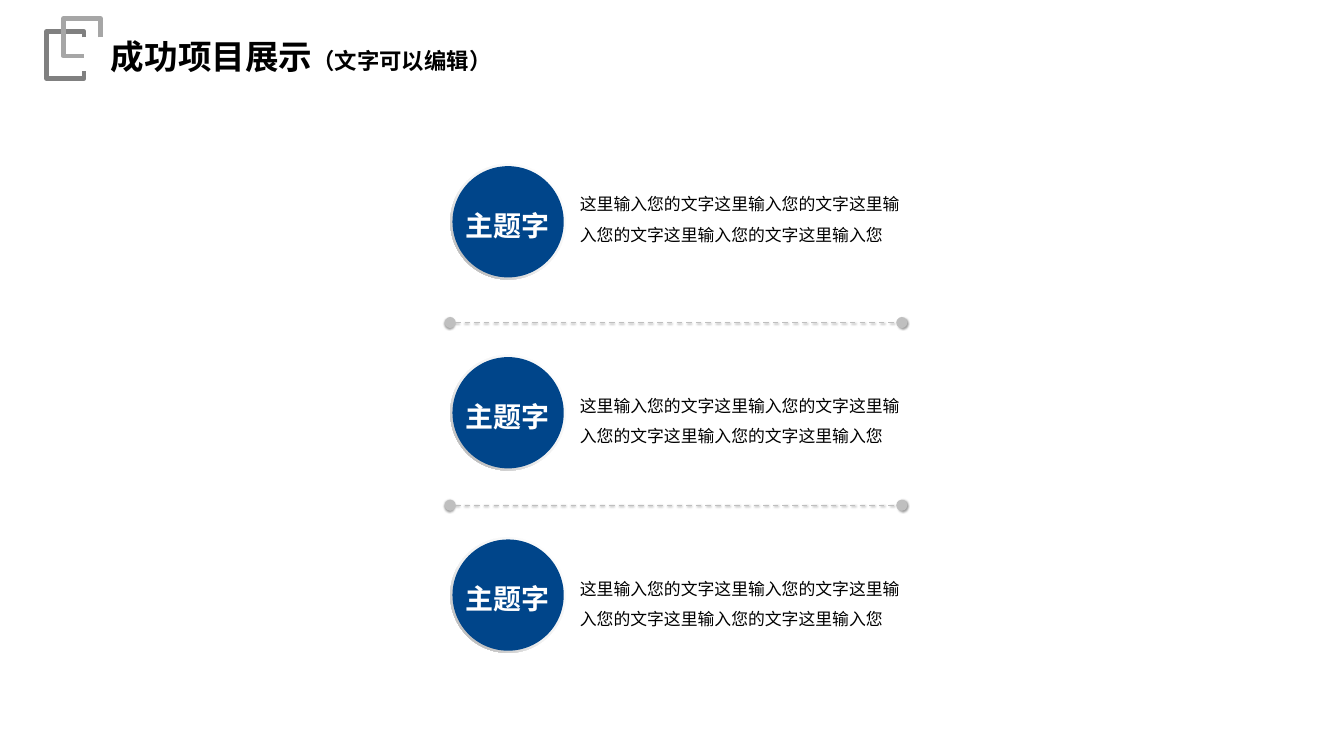
from dataclasses import dataclass
from typing import Any

import pptx
import pptx.dml.color
import pptx.enum.dml
import pptx.enum.shapes
import pptx.enum.text
import pptx.oxml
import pptx.oxml.ns
import pptx.util

Pt = pptx.util.Pt
qn = pptx.oxml.ns.qn
SHAPE = pptx.enum.shapes.MSO_SHAPE
ALIGN = pptx.enum.text.PP_ALIGN
FIT = pptx.enum.text.MSO_AUTO_SIZE
TOP = pptx.enum.text.MSO_ANCHOR.TOP
DASH = pptx.enum.dml.MSO_LINE.DASH
SPACE = 'xmlns:a="http://schemas.openxmlformats.org/drawingml/2006/main"'

COLORS = {
    "ink": "000000",
    "paper": "FFFFFF",
    "blue": "00458A",
    "dark": "808080",
    "mid": "A6A6A6",
    "rule": "BFBFBF",
    "pale": "F2F2F2",
}
SLIM = dict(margin_left=Pt(5.4), margin_right=Pt(5.4),
            margin_top=Pt(2.7), margin_bottom=Pt(2.7))
FRAME = dict(word_wrap=True, auto_size=FIT.NONE, vertical_anchor=TOP)
LEFT, RIGHT = 241.2, 483.1
RING, DISC = 62, 59.6
TEXT = "这里输入您的文字" * 4 + "这里输入您"


@dataclass
class Row:
    top: float
    text: float
    label: str = "主题字"


@dataclass
class Hook:
    color: str
    points: list[tuple[float, float]]


ROWS = [Row(87.8, 95.8), Row(190.1, 203.8), Row(287.8, 301.7)]
RULES = [172.8, 270.7]
HOOKS = [
    Hook("dark", [(45.4, 20.2), (45.4, 17), (25.2, 17),
                  (25.2, 41.8), (45.4, 41.8), (45.4, 38.2)]),
    Hook("mid", [(54.5, 20.2), (54.5, 10.1), (33.9, 10.1),
                 (33.9, 29.5), (45.4, 29.5)]),
]


def rgb(name: str) -> pptx.dml.color.RGBColor:
    return pptx.dml.color.RGBColor.from_string(COLORS[name])


def apply(item: Any, values: dict[str, Any]) -> None:
    for key, value in values.items():
        setattr(item, key, value)


def place(item: Any, left: float, top: float, width: float, height: float) -> None:
    apply(item, dict(left=Pt(left), top=Pt(top), width=Pt(width), height=Pt(height)))


def write(para: Any, text: str, size: float, color: str, bold: bool = False) -> None:
    run = para.add_run()
    run.text = text
    apply(run.font, dict(name="Arial", size=Pt(size), bold=bold))
    run.font.color.rgb = rgb(color)


def draw_title(slide: Any) -> None:
    title = slide.shapes.title
    place(title, 54, 16.6, 276.5, 27.4)
    apply(title.text_frame, FRAME | SLIM)
    para = title.text_frame.paragraphs[0]
    para.alignment = ALIGN.LEFT
    write(para, "成功项目展示", 18, "ink", True)
    write(para, "（文字可以编辑）", 12, "ink", True)


def draw_hook(slide: Any, hook: Hook) -> None:
    pen = slide.shapes.build_freeform(*hook.points[0], scale=Pt(1))
    pen.add_line_segments(hook.points[1:], close=False)
    shape = pen.convert_to_shape()
    shape.shadow.inherit = False
    shape.fill.background()
    shape.line.color.rgb = rgb(hook.color)
    shape.line.width = Pt(2.5)


def draw_rule(slide: Any, top: float) -> None:
    """Add a dashed line with round ends and a soft shadow."""
    rule = slide.shapes.add_connector(
        pptx.enum.shapes.MSO_CONNECTOR.STRAIGHT, Pt(LEFT), Pt(top), Pt(RIGHT), Pt(top))
    rule.line.color.rgb = rgb("rule")
    apply(rule.line, dict(width=Pt(0.75), dash_style=DASH))
    props = rule._element.spPr
    line = props.find(qn("a:ln"))
    for end in ("headEnd", "tailEnd"):
        line.append(pptx.oxml.parse_xml(f'<a:{end} {SPACE} type="oval"/>'))
    props.append(pptx.oxml.parse_xml(
        f'<a:effectLst {SPACE}><a:outerShdw blurRad="{Pt(1)}" dist="{Pt(0.5)}" '
        f'dir="5400000" rotWithShape="0"><a:srgbClr val="{COLORS["ink"]}">'
        '<a:alpha val="38000"/></a:srgbClr></a:outerShdw></a:effectLst>'))


def shade(shape: Any, stops: dict[int, str]) -> None:
    """Fill a shape with a gradient of percent stops, dark at lower left."""
    shape.fill.gradient()
    shape.fill.gradient_angle = 225
    steps = shape._element.spPr.find(".//" + qn("a:gsLst"))
    steps.clear()
    for spot, name in stops.items():
        steps.append(pptx.oxml.parse_xml(
            f'<a:gs {SPACE} pos="{spot * 1000}"><a:srgbClr val="{COLORS[name]}"/></a:gs>'))


def draw_round(group: Any, kind: Any, inset: float, top: float, size: float) -> Any:
    shape = group.shapes.add_shape(
        kind, Pt(LEFT + inset), Pt(top + inset), Pt(size), Pt(size))
    shape.shadow.inherit = False
    shape.line.fill.background()
    return shape


def draw_badge(slide: Any, row: Row) -> None:
    group = slide.shapes.add_group_shape()
    ring = draw_round(group, SHAPE.DONUT, 0, row.top, RING)
    ring.adjustments[0] = 0.049
    shade(ring, {0: "paper", 55: "pale", 100: "mid"})
    disc = draw_round(group, SHAPE.OVAL, (RING - DISC) / 2, row.top, DISC)
    disc.fill.solid()
    disc.fill.fore_color.rgb = rgb("blue")
    box = group.shapes.add_textbox(Pt(LEFT + 1), Pt(row.top + 20.2), Pt(DISC), Pt(25.2))
    apply(box.text_frame, FRAME | dict(word_wrap=False))
    para = box.text_frame.paragraphs[0]
    para.alignment = ALIGN.CENTER
    write(para, row.label, 15, "paper", True)


def draw_text(slide: Any, row: Row) -> None:
    box = slide.shapes.add_textbox(Pt(305.3), Pt(row.text), Pt(184.3), Pt(38.2))
    apply(box.text_frame, FRAME | SLIM)
    para = box.text_frame.paragraphs[0]
    para.line_spacing = 1.5
    write(para, TEXT, 9, "ink")


def main() -> None:
    deck = pptx.Presentation()
    apply(deck, dict(slide_width=Pt(720), slide_height=Pt(405)))
    slide = deck.slides.add_slide(deck.slide_layouts.get_by_name("Title Only"))
    draw_title(slide)
    for hook in HOOKS:
        draw_hook(slide, hook)
    for top in RULES:
        draw_rule(slide, top)
    for row in ROWS:
        draw_text(slide, row)
        draw_badge(slide, row)
    deck.save("out.pptx")


if __name__ == "__main__":
    main()
